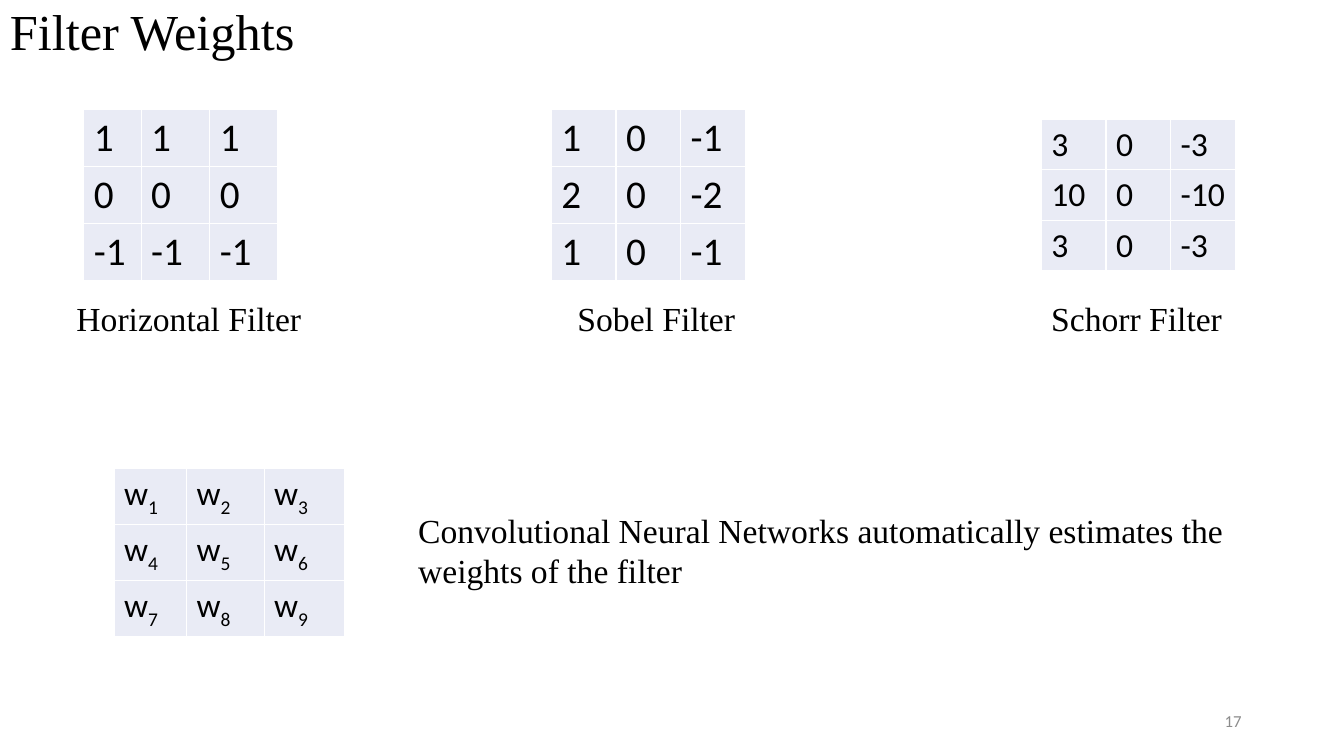
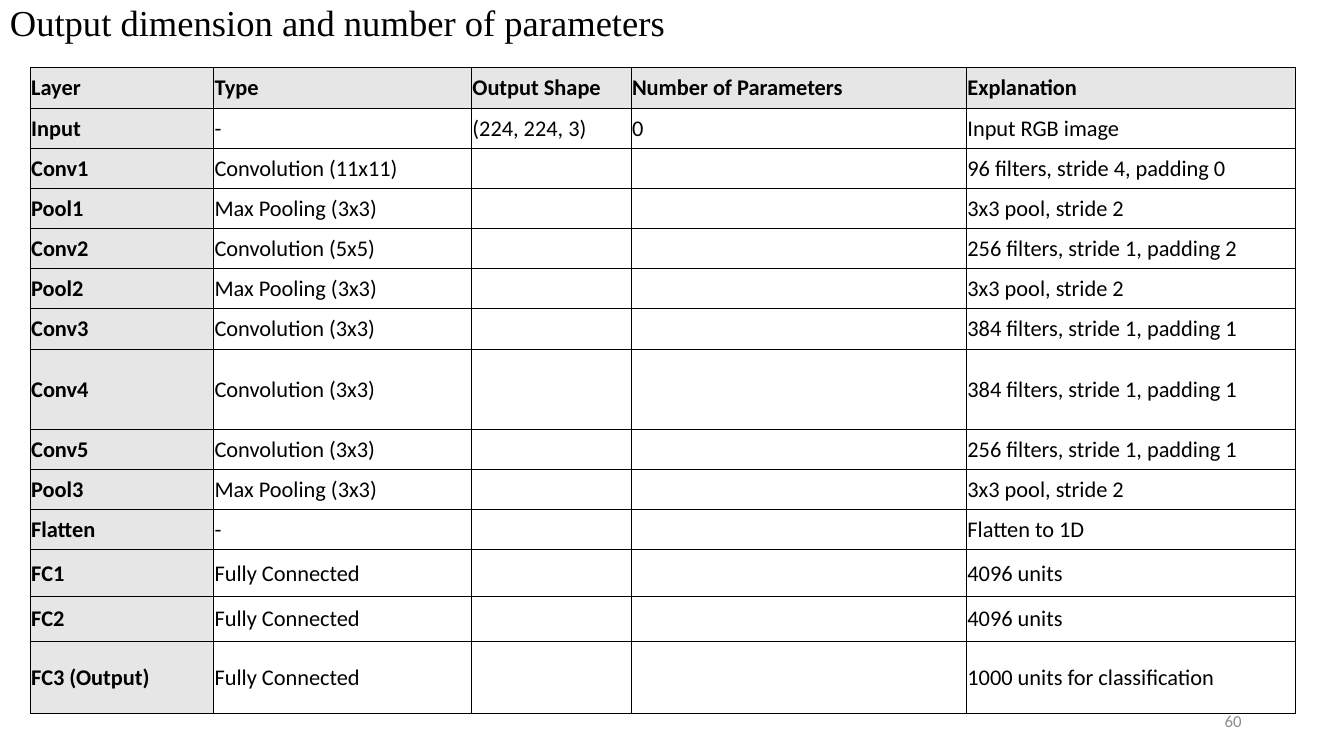
from dataclasses import dataclass

from lxml import etree
from pptx import Presentation
from pptx import util as u
from pptx.dml import color
from pptx.enum import text as t
from pptx.oxml import ns

Pt = u.Pt


def rgb(code):
    return color.RGBColor.from_string(code)


@dataclass(frozen=True)
class Theme:
    ink: str = "000000"
    page: str = "FFFFFF"
    tint: str = "E9EBF5"
    head: str = "E7E6E6"
    mute: str = "8C8C8C"
    serif: str = "Times New Roman"
    sans: str = "Calibri"
    title: float = 36
    small: float = 26.1
    body: float = 24
    large: float = 28
    cell: float = 16
    foot: float = 12


LOOK = Theme()
WIDE, HIGH = 960, 540
SUBS = str.maketrans("₁₂₃₄₅₆₇₈₉", "123456789")


def put(item, vals):
    for name, val in vals.items():
        setattr(item, name, val)


def ink(run, face, size, tone=LOOK.ink, bold=False):
    put(run.font, {"name": face, "size": Pt(size), "bold": bold})
    run.font.color.rgb = rgb(tone)


def label(slide, box, words, size, face=LOOK.serif, tone=LOOK.ink,
          frame=None, para=None):
    body = slide.shapes.add_textbox(*map(Pt, box)).text_frame
    put(body, {"word_wrap": True, **(frame or {})})
    line = body.paragraphs[0]
    put(line, para or {})
    run = line.add_run()
    run.text = words
    ink(run, face, size, tone)


def heading(slide, box, words, size):
    label(slide, box, words, size,
          frame={"vertical_anchor": t.MSO_ANCHOR.MIDDLE},
          para={"line_spacing": 0.9})


def footer(slide, number):
    label(slide, (WIDE - 282, HIGH - 39.75, 216, 28.75), number, LOOK.foot,
          LOOK.sans, LOOK.mute,
          frame={"vertical_anchor": t.MSO_ANCHOR.MIDDLE},
          para={"alignment": t.PP_ALIGN.RIGHT})


def border(cell, tone, width):
    props = cell._tc.get_or_add_tcPr()
    for side in ("lnL", "lnR", "lnT", "lnB"):
        line = etree.SubElement(props, ns.qn("a:" + side), w=str(Pt(width)))
        fill = etree.SubElement(line, ns.qn("a:solidFill"))
        etree.SubElement(fill, ns.qn("a:srgbClr"), val=tone)


def fill_in(cell, words, size, bold):
    line = cell.text_frame.paragraphs[0]
    base, sub = words, ""
    if words.startswith("w"):
        base, sub = words[0], words[1:].translate(SUBS)
    for part, shift in ((base, None), (sub, "-25000")):
        if part:
            run = line.add_run()
            run.text = part
            ink(run, LOOK.sans, size, bold=bold)
            if shift:
                run._r.get_or_add_rPr().set("baseline", shift)


def grid(slide, spot, cols, highs, rows, size, edge, form, style):
    box = (*spot, sum(cols), sum(highs))
    table = slide.shapes.add_table(
        len(rows), len(cols), *map(Pt, box)).table
    put(table, {"first_row": False, "horz_banding": False})
    for col, width in zip(table.columns, cols):
        col.width = Pt(width)
    for row, high in zip(table.rows, highs):
        row.height = Pt(high)
    for i, row in enumerate(rows):
        for j, words in enumerate(row):
            cell = table.cell(i, j)
            fill, bold = style(i, j)
            put(cell, form)
            border(cell, *edge)
            if fill:
                cell.fill.solid()
                cell.fill.fore_color.rgb = rgb(fill)
            else:
                cell.fill.background()
            fill_in(cell, words, size, bold)


def kernel(slide, spot, cols, high, text, size):
    rows = [line.split() for line in text.split("/")]
    grid(slide, spot, cols, [high] * len(rows), rows, size,
         (LOOK.page, 1), {"margin_right": Pt(4)},
         lambda i, j: (LOOK.tint, False))


def panel(slide, box, cols, text, size, name, shift, width):
    x, y, high = box
    row = size * 1.2 + 7.2
    kernel(slide, (x, y + (high - 3 * row) / 2), cols, row, text, size)
    label(slide, (x + shift, y + high + 9.2, width, 36), name, LOOK.body)


def weights(slide, box):
    x, y, width = box
    kernel(slide, (x, y), (51.8, 55.5, 57.8), 40,
           "w₁ w₂ w₃ / w₄ w₅ w₆ / w₇ w₈ w₉", LOOK.body)
    label(slide, (x + 210.2, y + 25.9, width - 210.2, 65.5),
          "Convolutional Neural Networks automatically estimates "
          "the weights of the filter", LOOK.body)


def filters(slide):
    even = (46.2,) * 3
    panels = (
        (59.8, (41, 49, 48.3), "1 1 1 / 0 0 0 / -1 -1 -1", LOOK.large,
         "Horizontal Filter", -12.3, 185.8),
        (393.8, even, "1 0 -1 / 2 0 -2 / 1 0 -1", LOOK.large,
         "Sobel Filter", 11.6, 150.5),
        (743.8, even, "3 0 -3 / 10 0 -10 / 3 0 -3", LOOK.body,
         "Schorr Filter", 0, 150.5),
    )
    heading(slide, (0, 0.7, 828, 48.2), "Filter Weights", LOOK.title)
    for x, *rest in panels:
        panel(slide, (x, 78, 122.4), *rest)
    weights(slide, (81.4, 334.8, 841.6))
    footer(slide, "17")


def layers(slide, spot):
    conv, pool, full = "Convolution ({0}x{0})", "Max Pooling (3x3)", "Fully Connected"
    taps = "{} filters, stride {}, padding {}"
    step = "3x3 pool, stride 2"
    rows = [
        ("Layer", "Type", "Output Shape", "Number of Parameters", "Explanation"),
        ("Input", "-", "(224, 224, 3)", "0", "Input RGB image"),
    ]
    rows += [(name, kind, "", "", note) for name, kind, note in (
        ("Conv1", conv.format(11), taps.format(96, 4, 0)),
        ("Pool1", pool, step),
        ("Conv2", conv.format(5), taps.format(256, 1, 2)),
        ("Pool2", pool, step),
        ("Conv3", conv.format(3), taps.format(384, 1, 1)),
        ("Conv4", conv.format(3), taps.format(384, 1, 1)),
        ("Conv5", conv.format(3), taps.format(256, 1, 1)),
        ("Pool3", pool, step),
        ("Flatten", "-", "Flatten to 1D"),
        ("FC1", full, "4096 units"),
        ("FC2", full, "4096 units"),
        ("FC3 (Output)", full, "1000 units for classification"),
    )]
    row = 28.7
    highs = [row] * 7 + [2 * row] + [row] * 3 + [33.2, 32.2, 51.8]
    form = {"margin_left": Pt(0.7), "margin_right": Pt(0.7),
            "margin_top": Pt(0.7), "margin_bottom": 0,
            "vertical_anchor": t.MSO_ANCHOR.MIDDLE}

    def style(i, j):
        return (LOOK.head if i == 0 or j == 0 else None), i == 0 or j == 0

    grid(slide, spot, (131, 184.2, 114, 239.6, 234.8), highs, rows,
         LOOK.cell, (LOOK.ink, 0.5), form, style)


def network(slide):
    heading(slide, (0, 0, 828, 34.6),
            "Output dimension and number of parameters", LOOK.small)
    footer(slide, "60")
    layers(slide, (21.6, 48.4))


def main():
    deck = Presentation()
    put(deck, {"slide_width": Pt(WIDE), "slide_height": Pt(HIGH)})
    for build in (filters, network):
        build(deck.slides.add_slide(deck.slide_layouts[6]))
    deck.save("out.pptx")


if __name__ == "__main__":
    main()
